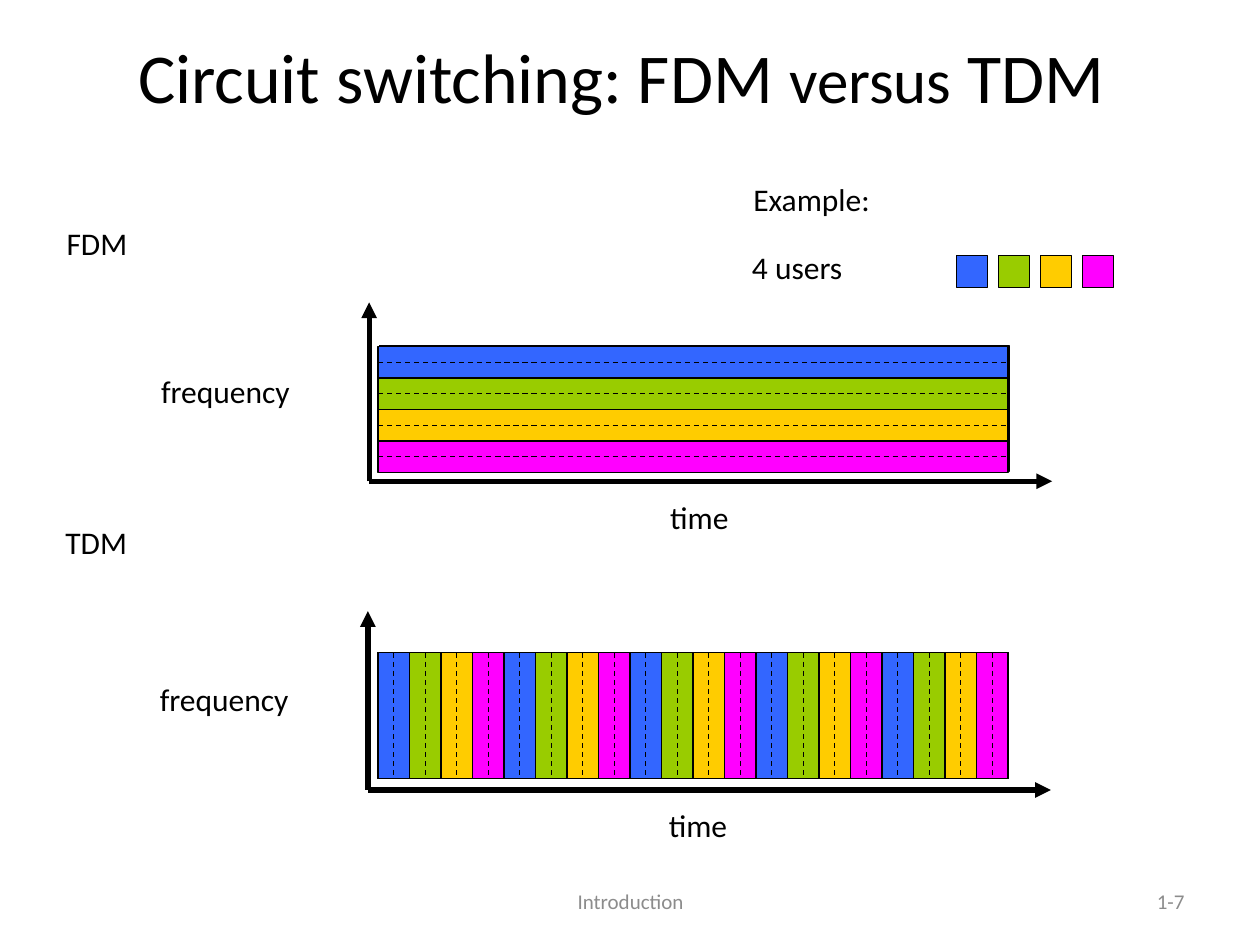
from lxml.etree import SubElement
from pptx import Presentation
from pptx.dml.color import RGBColor
from pptx.enum.dml import MSO_LINE
from pptx.enum.shapes import MSO_CONNECTOR, MSO_SHAPE
from pptx.enum.text import MSO_ANCHOR, PP_ALIGN
from pptx.oxml.ns import qn
from pptx.util import Inches, Pt

BLACK = RGBColor(0x00, 0x00, 0x00)
GRAY = RGBColor(0x8C, 0x8C, 0x8C)
BACKING = RGBColor(0x4F, 0x81, 0xBD)
USERS = [
    RGBColor(0x33, 0x66, 0xFF),
    RGBColor(0x99, 0xCC, 0x00),
    RGBColor(0xFF, 0xCC, 0x00),
    RGBColor(0xFF, 0x00, 0xFF),
]
LEFT, WIDTH, HEIGHT, BAND = 3, 5, 1, 0.25
FDM_TOP, TDM_TOP = 2.75, 5.18
SLOTS = 20


def write(frame, text, size=18, color=BLACK, align=PP_ALIGN.LEFT, anchor=MSO_ANCHOR.TOP):
    frame.word_wrap = True
    frame.vertical_anchor = anchor
    paragraph = frame.paragraphs[0]
    paragraph.alignment = align
    run = paragraph.add_run()
    run.text = text
    run.font.name = "Calibri"
    run.font.size = Pt(size)
    run.font.color.rgb = color


def draw_line(x1, y1, x2, y2, weight=0.75, dashed=False, arrow=False):
    line = slide.shapes.add_connector(
        MSO_CONNECTOR.STRAIGHT, Inches(x1), Inches(y1), Inches(x2), Inches(y2))
    line.line.color.rgb = BLACK
    line.line.width = Pt(weight)
    if dashed:
        line.line.dash_style = MSO_LINE.DASH
    if arrow:
        SubElement(line.line._get_or_add_ln(), qn("a:tailEnd"), type="triangle")
    SubElement(line._element.spPr, qn("a:effectLst"))


deck = Presentation()
deck.slide_width, deck.slide_height = Inches(10), Inches(7.5)
slide = deck.slides.add_slide(deck.slide_layouts[5])

title = slide.shapes.title
title.left, title.top = Inches(0.3), Inches(0.08)
title.width, title.height = Inches(9.26), Inches(1.04)
for words, size in [("Circuit switching: FDM ", 40), ("versus", 36), (" TDM", 40)]:
    write(title.text_frame, words, size=size, align=PP_ALIGN.CENTER, anchor=MSO_ANCHOR.MIDDLE)

footer = {"size": 12, "color": GRAY, "anchor": MSO_ANCHOR.MIDDLE}
labels = [
    ("Example:", 5.88, 1.38, 1.59, 0.5, {}),
    ("4 users", 5.87, 1.92, 1.3, 0.5, {}),
    ("Introduction", 3.42, 6.95, 3.17, 0.4, {"align": PP_ALIGN.CENTER, **footer}),
    ("1-7", 7.17, 6.95, 2.33, 0.4, {"align": PP_ALIGN.RIGHT, **footer}),
]
for scheme, axis_x, axis_y in [("FDM", 2.93, 3.82), ("TDM", 2.92, 6.27)]:
    labels += [
        (scheme, axis_x - 2.5, axis_y - 2.1 + (0.01 if scheme == "FDM" else -0.07), 0.92, 0.5, {}),
        ("frequency", axis_x - 1.75, axis_y - 0.92, 1.67, 0.5, {}),
        ("time", axis_x + 2.29, axis_y + 0.08, 0.83, 0.5, {}),
    ]
    draw_line(axis_x, axis_y, axis_x, axis_y - 1.42, weight=3, arrow=True)
    draw_line(axis_x, axis_y, axis_x + 5.42, axis_y, weight=3, arrow=True)

for words, left, top, width, height, style in labels:
    box = slide.shapes.add_textbox(Inches(left), Inches(top), Inches(width), Inches(height))
    write(box.text_frame, words, **style)

blocks = [
    (LEFT + 0.01, FDM_TOP - 0.01, WIDTH, HEIGHT, BACKING),
    (LEFT, TDM_TOP, WIDTH, HEIGHT, BACKING),
]
for user, color in enumerate(USERS):
    blocks.append((LEFT, FDM_TOP + user * BAND, WIDTH, BAND, color))
    blocks.append((7.59 + user / 3, 2.03, BAND, BAND, color))
for slot in range(SLOTS):
    blocks.append((LEFT + slot * BAND, TDM_TOP, BAND, HEIGHT, USERS[slot % len(USERS)]))

for left, top, width, height, color in blocks:
    block = slide.shapes.add_shape(
        MSO_SHAPE.RECTANGLE, Inches(left), Inches(top), Inches(width), Inches(height))
    block.shadow.inherit = False
    block.fill.solid()
    block.fill.fore_color.rgb = color
    block.line.color.rgb = BLACK
    block.line.width = Pt(0.75)

for half in range(1, 2 * len(USERS)):
    y = FDM_TOP + half * BAND / 2
    draw_line(LEFT, y, LEFT + WIDTH, y, dashed=half % 2 == 1)
for half in range(1, 2 * SLOTS):
    x = LEFT + half * BAND / 2
    draw_line(x, TDM_TOP, x, TDM_TOP + HEIGHT, dashed=half % 2 == 1)

deck.save("out.pptx")
